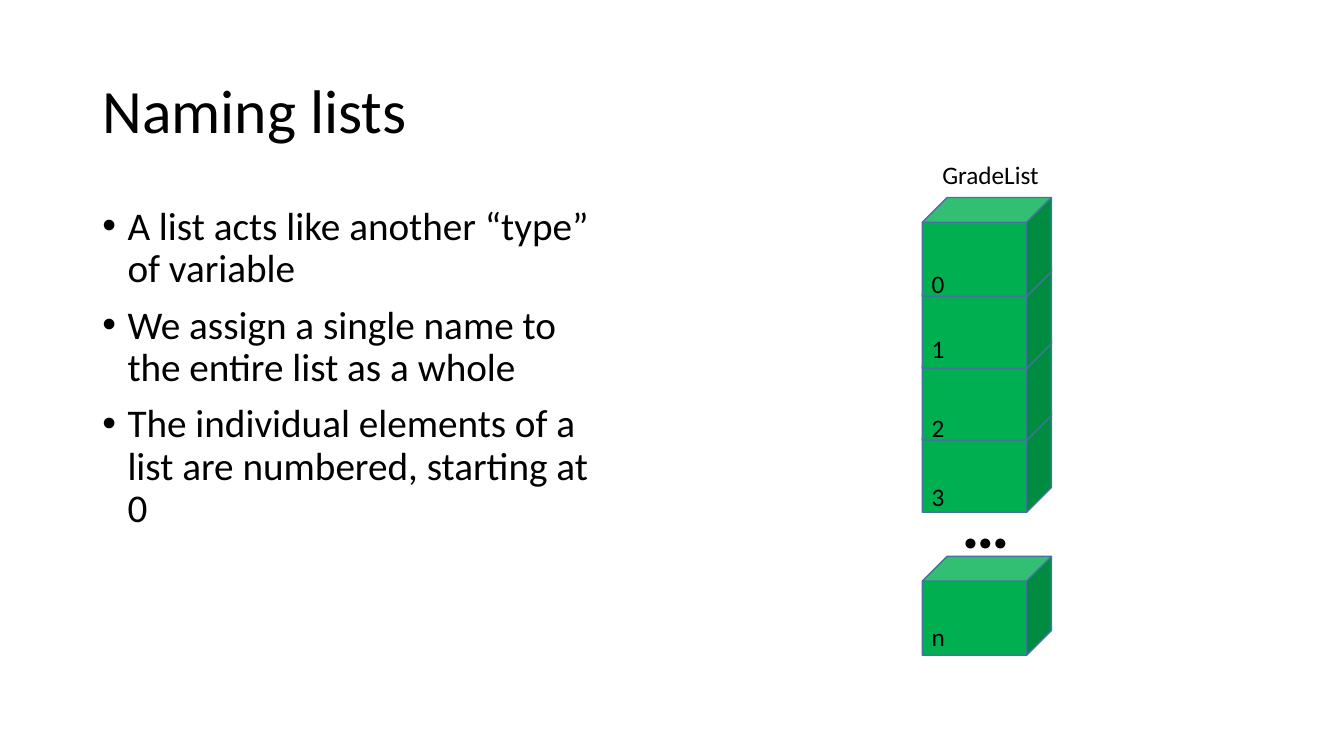
from lxml.etree import SubElement
from pptx import Presentation
from pptx.dml.color import RGBColor
from pptx.enum.shapes import MSO_SHAPE as Shape
from pptx.enum.text import MSO_ANCHOR as Anchor, MSO_AUTO_SIZE as AutoSize, PP_ALIGN as Align
from pptx.oxml.ns import qn
from pptx.util import Pt

COLORS = {"text": "000000", "cube": "00B050", "edge": "43739E"}
FONT = "Calibri"
POINTS = [
    "A list acts like another “type” of variable",
    "We assign a single name to the entire list as a whole",
    "The individual elements of a list are numbered, starting at 0",
]
CUBE_SIZE = (92.2, 70.6)
CUBES = [("0", 0, 46.8), ("1", 51.4, 93.6), ("2", 102.8, 149.8),
         ("3", 154.2, 199.4), ("n", 256.3, 298.8)]


def color(name):
    """Return the palette colour called name."""
    return RGBColor.from_string(COLORS[name])


def style(para, size, bold=False):
    """Format every run of a paragraph."""
    for span in para.runs:
        span.font.name = FONT
        span.font.size = Pt(size)
        span.font.bold = bold
        span.font.color.rgb = color("text")


def add_label(page, text, box, size=18, bold=False):
    """Add one unwrapped line of text in the box."""
    label = page.shapes.add_textbox(*map(Pt, box))
    frame = label.text_frame
    frame.text = text
    frame.word_wrap = False
    frame.auto_size = AutoSize.SHAPE_TO_FIT_TEXT
    style(frame.paragraphs[0], size, bold)


def add_bullet(para):
    """Give a paragraph a hanging round bullet."""
    props = para._p.get_or_add_pPr()
    props.set("marL", str(Pt(18)))
    props.set("indent", str(-Pt(18)))
    SubElement(props, qn("a:buFont"), typeface="Arial")
    SubElement(props, qn("a:buChar"), char="•")


def place_title(page, text, box):
    """Move the title placeholder to the box and fill it."""
    title = page.shapes.title
    title.left, title.top, title.width, title.height = map(Pt, box)
    frame = title.text_frame
    frame.text = text
    frame.auto_size = AutoSize.NONE
    frame.vertical_anchor = Anchor.MIDDLE
    para = frame.paragraphs[0]
    para.alignment = Align.LEFT
    para.line_spacing = 0.9
    style(para, 44)


def place_points(page, points, box):
    """Write the bulleted points in the box."""
    frame = page.shapes.add_textbox(*map(Pt, box)).text_frame
    frame.word_wrap = True
    frame.text = "\n".join(points)
    for para in frame.paragraphs:
        para.line_spacing = 0.9
        para.space_before = Pt(10)
        add_bullet(para)
        style(para, 28)


def add_cube(page, left, top):
    """Add one list element as a cube."""
    cube = page.shapes.add_shape(Shape.CUBE, *map(Pt, (left, top, *CUBE_SIZE)))
    cube.shadow.inherit = False
    cube.fill.solid()
    cube.fill.fore_color.rgb = color("cube")
    cube.line.color.rgb = color("edge")
    cube.line.width = Pt(1)


def place_list(page, name, left, top):
    """Stack the numbered cubes below the name of the list."""
    add_label(page, name, (left + 7.2, top - 31, 84.2, 29))
    for _, cube_offset, _ in reversed(CUBES):
        add_cube(page, left, top + cube_offset)
    add_label(page, "…", (left + 21, top + 199.4, 49, 65.5), 48, True)
    for index, _, label_offset in CUBES:
        add_label(page, index, (left - 0.5, top + label_offset, 24, 29))


def main():
    """Build and save the deck."""
    deck = Presentation()
    deck.slide_width, deck.slide_height = Pt(960), Pt(540)
    page = deck.slides.add_slide(deck.slide_layouts[5])
    place_title(page, "Naming lists", (66, 28.8, 828, 104.4))
    place_points(page, POINTS, (66, 144, 368.6, 342.7))
    place_list(page, "GradeList", 658.8, 141.1)
    deck.save("out.pptx")


if __name__ == "__main__":
    main()
